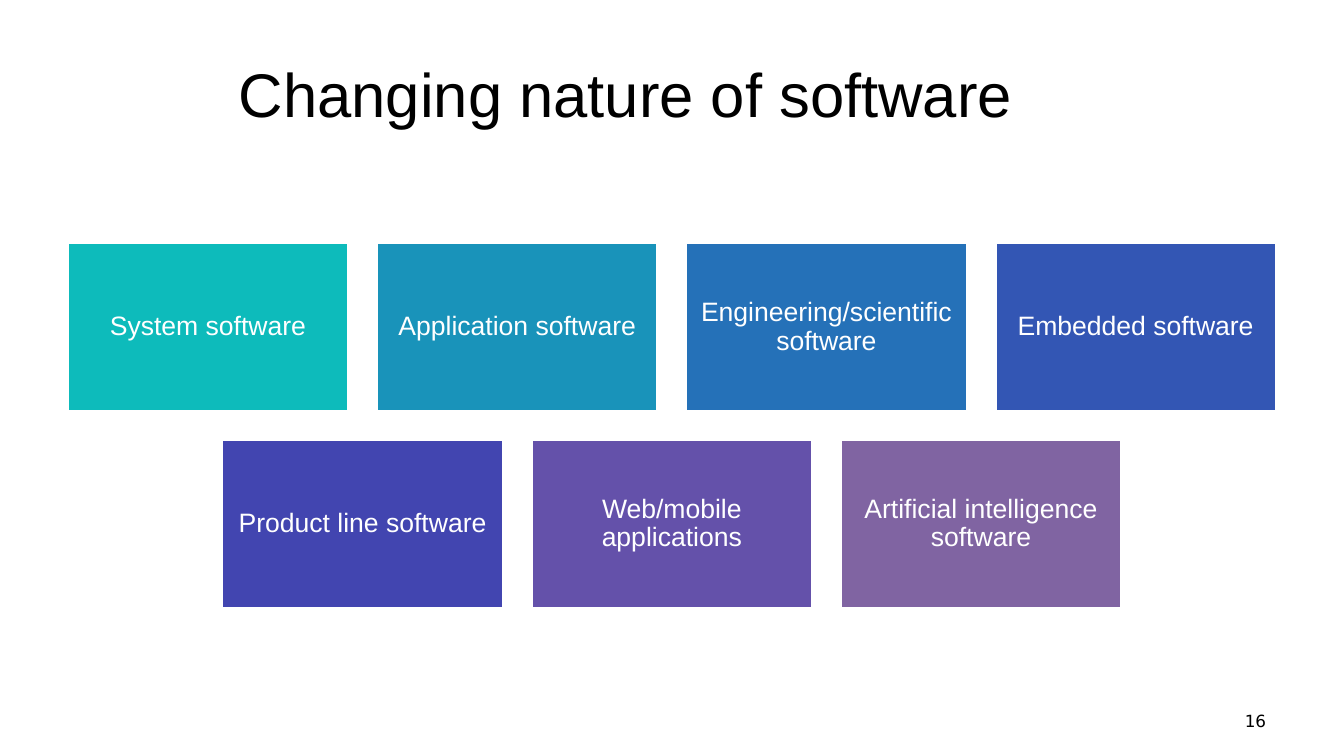
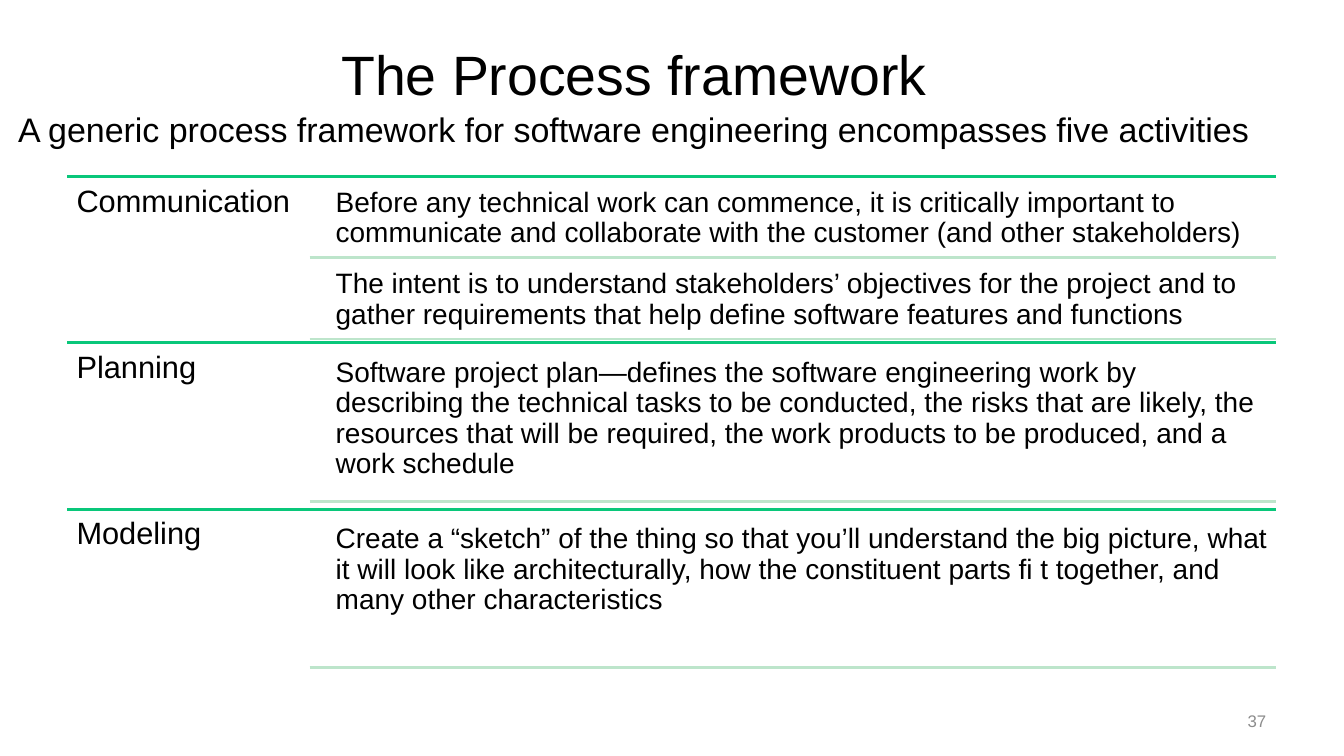
from dataclasses import dataclass

from lxml import etree
from pptx import Presentation
from pptx.dml.color import RGBColor
from pptx.enum import shapes, text
from pptx.oxml import ns
from pptx.util import Cm, Pt


@dataclass(frozen=True)
class Theme:
    font: str = "Arial"
    number_font: str = "DejaVu Sans"
    ink: str = "000000"
    paper: str = "FFFFFF"
    muted: str = "8C8C8C"
    rule: str = "09C77A"
    soft_rule: str = "BDE5CB"
    cards: tuple = ("0DBBBB", "1993BA", "2571B8", "3356B4",
                    "4245B0", "6451AA", "8064A2")
    title_size: float = 44
    long_title_size: float = 39.6
    subtitle_size: float = 24.3
    label_size: float = 22
    body_size: float = 20
    card_size: float = 19
    number_size: float = 12
    line_width: float = 2


THEME = Theme()
MARGIN, CONTENT_WIDTH = 1.7, 30.46  # centimetres, as are all boxes

SOFTWARE_KINDS = [
    "System software", "Application software",
    "Engineering/scientific software", "Embedded software",
    "Product line software", "Web/mobile applications",
    "Artificial intelligence software",
]

ACTIVITIES = [
    ("Communication", [
        "Before any technical work can commence, it is critically important to "
        "communicate and collaborate with the customer (and other stakeholders)",
        "The intent is to understand stakeholders’ objectives for the project and "
        "to gather requirements that help define software features and functions",
    ]),
    ("Planning", [
        "Software project plan—defines the software engineering work by describing "
        "the technical tasks to be conducted, the risks that are likely, the "
        "resources that will be required, the work products to be produced, and a "
        "work schedule",
    ]),
    ("Modeling", [
        "Create a “sketch” of the thing so that you’ll understand the big picture, "
        "what it will look like architecturally, how the constituent parts fi t "
        "together, and many other characteristics",
    ]),
]


def style_font(font, size, color=THEME.ink, name=THEME.font):
    font.name, font.size = name, Pt(size)
    font.color.rgb = RGBColor.from_string(color)


def fill_frame(shape, words, size, color=THEME.ink, name=THEME.font,
               align=text.PP_ALIGN.LEFT, anchor=text.MSO_ANCHOR.TOP,
               inset=0.2, spacing=0.9):
    frame = shape.text_frame
    frame.word_wrap = True
    frame.vertical_anchor = anchor
    frame.margin_left = frame.margin_right = Cm(inset)
    frame.margin_top = frame.margin_bottom = Cm(inset)
    frame.text = words
    para = frame.paragraphs[0]
    para.alignment, para.line_spacing = align, spacing
    for span in para.runs:
        style_font(span.font, size, color, name)


def add_text(page, box, words, size, **style):
    fill_frame(page.shapes.add_textbox(*map(Cm, box)), words, size, **style)


def add_rule(page, left, right, y, color):
    rule = page.shapes.add_connector(
        shapes.MSO_CONNECTOR.STRAIGHT, Cm(left), Cm(y), Cm(right), Cm(y))
    rule.line.color.rgb = RGBColor.from_string(color)
    rule.line.width = Pt(THEME.line_width)
    etree.SubElement(rule.element.spPr, ns.qn("a:effectLst"))


def add_page(deck, title_box, lines, number, **number_style):
    """Add a page with its title, one size per line, and its page number."""
    page = deck.slides.add_slide(deck.slide_layouts[5])
    title = page.shapes.title
    title.left, title.top, title.width, title.height = map(Cm, title_box)
    frame = title.text_frame
    frame.auto_size = text.MSO_AUTO_SIZE.NONE
    frame.vertical_anchor = text.MSO_ANCHOR.MIDDLE
    para = frame.paragraphs[0]
    para.text = "\v".join(words for words, _ in lines)
    para.alignment = text.PP_ALIGN.CENTER
    para.line_spacing = 1.0 if len(lines) == 1 else 1.05
    for span, (_, size) in zip(para.runs, lines):
        style_font(span.font, size)

    # Page number
    add_text(page, (24.26, 17.65, 7.9, 1.02), number, THEME.number_size,
             align=text.PP_ALIGN.RIGHT, anchor=text.MSO_ANCHOR.MIDDLE,
             inset=0.25, spacing=1.0, **number_style)
    return page


def add_card_grid(page, box, labels, columns=4, gap=0.71):
    """Fill the box with rows of cards, each row centred."""
    left, top, width, height = box
    row_count = -(-len(labels) // columns)
    card_width = (width - gap * (columns - 1)) / columns
    card_height = (height - gap * (row_count - 1)) / row_count
    for index, label in enumerate(labels):
        row, column = divmod(index, columns)
        in_row = min(columns, len(labels) - row * columns)
        indent = (columns - in_row) * (card_width + gap) / 2
        card = page.shapes.add_shape(
            shapes.MSO_SHAPE.RECTANGLE,
            Cm(left + indent + column * (card_width + gap)),
            Cm(top + row * (card_height + gap)),
            Cm(card_width), Cm(card_height))
        card.shadow.inherit = False
        card.fill.solid()
        card.fill.fore_color.rgb = RGBColor.from_string(THEME.cards[index])
        card.line.color.rgb = RGBColor.from_string(THEME.paper)
        card.line.width = Pt(THEME.line_width)
        fill_frame(card, label, THEME.card_size, THEME.paper,
                   align=text.PP_ALIGN.CENTER, anchor=text.MSO_ANCHOR.MIDDLE)


def add_activity(page, box, label, details):
    """Put a label beside its details, with a soft rule under each detail."""
    left, top, width, height = box
    right, label_width, indent = left + width, 6.1, 0.46
    detail_left = left + label_width
    add_rule(page, left, right, top, THEME.rule)
    add_text(page, (left, top, label_width, height), label,
             THEME.label_size, inset=0.23)

    # The gap around each detail is a twentieth of its height
    count = len(details)
    detail_height = height / (count + 0.05 * (count + 1))
    gap = 0.05 * detail_height
    for index, detail in enumerate(details):
        y = top + gap + index * (detail_height + gap)
        add_text(page, (detail_left + indent, y,
                        width - label_width - indent, detail_height),
                 detail, THEME.body_size)
        add_rule(page, detail_left, right, y + detail_height, THEME.soft_rule)


def build_software_page(deck):
    page = add_page(deck, (MARGIN, 0.76, 28.15, 3.18),
                    [("Changing nature of software", THEME.title_size)],
                    "16", name=THEME.number_font)
    add_card_grid(page, (MARGIN, 6.12, CONTENT_WIDTH, 9.2), SOFTWARE_KINDS)


def build_framework_page(deck):
    page = add_page(
        deck, (0.2, 0.76, 31.55, 3.18),
        [("The Process framework", THEME.long_title_size),
         ("A generic process framework for software engineering "
          "encompasses five activities", THEME.subtitle_size)],
        "37", color=THEME.muted)
    top, row_height = 4.45, 4.19
    for index, (label, details) in enumerate(ACTIVITIES):
        add_activity(page, (MARGIN, top + index * row_height,
                            CONTENT_WIDTH, row_height), label, details)


def main():
    deck = Presentation()
    deck.slide_width, deck.slide_height = Cm(33.87), Cm(19.05)
    build_software_page(deck)
    build_framework_page(deck)
    deck.save("out.pptx")


if __name__ == "__main__":
    main()
